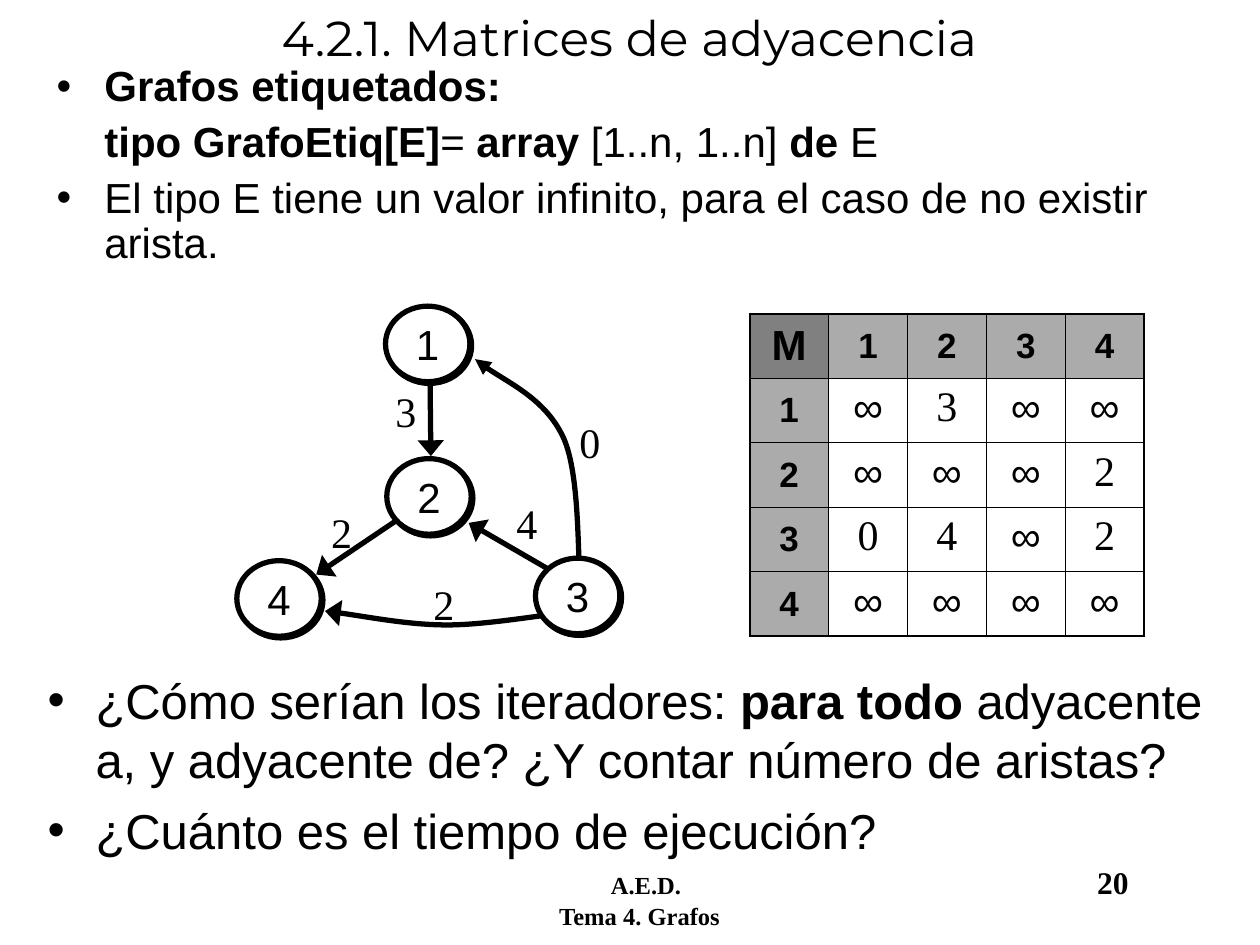
from lxml.etree import SubElement
from pptx import Presentation
from pptx.dml.color import RGBColor
from pptx.enum.shapes import MSO_CONNECTOR, MSO_SHAPE
from pptx.enum.text import MSO_ANCHOR, PP_ALIGN
from pptx.oxml import parse_xml
from pptx.oxml.ns import nsdecls, qn
from pptx.util import Emu, Inches, Pt

SERIF = "Times New Roman"
BLACK, WHITE, GREY, DARK = "000000", "FFFFFF", "ABABAB", "808080"

# Content: a paragraph is a list of (text, bold) runs
TITLE = [[("4.2.1. Matrices de adyacencia", False)]]
INTRO = [
    [("Grafos etiquetados:", True)],
    [("tipo GrafoEtiq[E]", True), ("=", False), (" array ", True),
     ("[1..n, 1..n]", False), (" de ", True), ("E", False)],
    [("El tipo E tiene un valor infinito, para el caso de no existir arista.", False)],
]
QUESTIONS = [
    [("¿Cómo serían los iteradores: ", False), ("para todo", True),
     (" adyacente a, y adyacente de? ¿Y contar número de aristas?", False)],
    [("¿Cuánto es el tiempo de ejecución?", False)],
]
MATRIX = ["M1234", "1∞3∞∞", "2∞∞∞2", "304∞2", "4∞∞∞∞"]

# Graph: node corners, straight edges, curved edges (head width, Bézier points), weights
NODES = {"1": (3.06, 2.43), "2": (3.07, 3.64), "3": (4.25, 4.43), "4": (1.88, 4.45)}
NODE_W, NODE_H = 0.67, 0.6
EDGES = [((4.65, 4.69), (3.72, 4.15)), ((3.46, 3.92), (2.51, 4.56)),
         ((3.41, 2.71), (3.42, 3.62))]
CURVES = [
    ("med", [(4.61, 4.66), (4.58, 4.47), (4.61, 3.77), (4.47, 3.47),
             (4.33, 3.17), (3.92, 2.98), (3.77, 2.85)]),
    ("lg", [(4.45, 4.87), (4.3, 4.88), (3.86, 4.96), (3.55, 4.96),
            (3.24, 4.96), (2.78, 4.87), (2.58, 4.85)]),
]
WEIGHTS = [("3", 3.04, 3.01), ("4", 4, 3.9), ("0", 4.5, 3.26),
           ("2", 2.53, 3.97), ("2", 3.34, 4.54)]


def rgb(color):
    return RGBColor.from_string(color)


def write(tf, paras, size=24, font="Arial", align=PP_ALIGN.LEFT,
          anchor=MSO_ANCHOR.TOP, wrap=True, before=0, spacing=None, bullets=()):
    tf.word_wrap, tf.vertical_anchor = wrap, anchor
    for i, runs in enumerate(paras):
        p = tf.paragraphs[0] if i == 0 else tf.add_paragraph()
        p.alignment, p.line_spacing = align, spacing
        if i:
            p.space_before = Pt(before)
        if bullets:
            pPr = p._p.get_or_add_pPr()
            pPr.set("marL", str(Inches(0.38)))
            if bullets[i]:
                pPr.set("indent", str(-Inches(0.38)))
                SubElement(pPr, qn("a:buFont"), typeface="Arial")
                SubElement(pPr, qn("a:buChar"), char="•")
        for text, bold in runs:
            r = p.add_run()
            r.text = text
            r.font.size, r.font.name, r.font.bold = Pt(size), font, bold
            r.font.color.rgb = rgb(BLACK)


def add_text(shapes, box, paras, **fmt):
    tb = shapes.add_textbox(*map(Inches, box))
    write(tb.text_frame, paras, **fmt)
    return tb.text_frame


def style_arrow(shape, head="lg"):
    shape.line.color.rgb, shape.line.width = rgb(BLACK), Pt(3)
    SubElement(shape.line._get_or_add_ln(), qn("a:tailEnd"),
               type="triangle", w=head, len="med")


def add_curve(shapes, head, points):
    start, *rest = [(Inches(x), Inches(y)) for x, y in points]
    fb = shapes.build_freeform(*start)
    fb.add_line_segments(rest, close=False)
    curve = fb.convert_to_shape()
    curve.fill.background()
    style_arrow(curve, head)
    curve.shadow.inherit = False
    # Every three points after the start form one cubic segment
    lines = list(curve._element.iter(qn("a:lnTo")))
    outline = lines[0].getparent()
    for i in range(0, len(lines), 3):
        cubic = SubElement(outline, qn("a:cubicBezTo"))
        for ln in lines[i:i + 3]:
            cubic.append(ln[0])
            outline.remove(ln)


def add_node(shapes, name, corner):
    sp = shapes.add_shape(MSO_SHAPE.OVAL, *map(Inches, (*corner, NODE_W, NODE_H)))
    sp.fill.solid()
    sp.fill.fore_color.rgb = rgb(WHITE)
    sp.line.color.rgb, sp.line.width = rgb(BLACK), Pt(3)
    sp.shadow.inherit = False
    effects = sp._element.spPr.find(qn("a:effectLst"))
    shadow = SubElement(effects, qn("a:outerShdw"), dist=str(Pt(1.4)),
                        dir="2700000", algn="tl", rotWithShape="0")
    SubElement(shadow, qn("a:srgbClr"), val=BLACK)
    write(sp.text_frame, [[(name, False)]], align=PP_ALIGN.CENTER,
          anchor=MSO_ANCHOR.MIDDLE, wrap=False)


def set_borders(cell, outer):
    tcPr = cell._tc.get_or_add_tcPr()
    for i, (side, is_outer) in enumerate(zip("LRTB", outer)):
        width = Pt(1.08 if is_outer else 0.45)
        tcPr.insert(i, parse_xml(
            f'<a:ln{side} {nsdecls("a")} w="{width}"><a:solidFill>'
            f'<a:srgbClr val="{BLACK}"/></a:solidFill></a:ln{side}>'))


def add_matrix(shapes):
    n = len(MATRIX)
    frame = shapes.add_table(n, n, *map(Inches, (5.95, 2.49, 3.13, 2.56)))
    table = frame.table
    table.first_row = table.horz_banding = False
    for column in table.columns:
        column.width = Emu(Inches(3.13) // n)
    for r, row in enumerate(MATRIX):
        table.rows[r].height = Emu(Inches(2.56) // n)
        for c, value in enumerate(row):
            cell = table.cell(r, c)
            header, corner = r == 0 or c == 0, r == c == 0
            if header:
                cell.fill.solid()
                cell.fill.fore_color.rgb = rgb(DARK if corner else GREY)
            else:
                cell.fill.background()
            set_borders(cell, (c == 0, c == n - 1, r == 0, r == n - 1))
            anchor = MSO_ANCHOR.MIDDLE if header else MSO_ANCHOR.TOP
            cell.vertical_anchor = anchor
            write(cell.text_frame, [[(value, header)]], align=PP_ALIGN.CENTER,
                  size=20 if header and not corner else 24, anchor=anchor,
                  font="Arial" if header or value == "∞" else SERIF)


def add_graph(shapes):
    for head, points in CURVES:
        add_curve(shapes, head, points)
    for start, end in EDGES:
        cx = shapes.add_connector(MSO_CONNECTOR.STRAIGHT, *map(Inches, start + end))
        style_arrow(cx)
        SubElement(cx._element.spPr, qn("a:effectLst"))
    for name, corner in NODES.items():
        add_node(shapes, name, corner)
    for weight, x, y in WEIGHTS:
        add_text(shapes, (x, y, 0.55, 0.5), [[(weight, False)]], font=SERIF)


def add_footer(shapes):
    tf = add_text(shapes, (3.62, 6.8, 5.8, 0.5),
                  [[("\tA.E.D.\t", True), ("20", True)], [("Tema 4. Grafos", True)]],
                  size=14, font=SERIF)
    first, second = tf.paragraphs
    first.runs[1].font.size = Pt(18)
    tabs = SubElement(first._p.get_or_add_pPr(), qn("a:tabLst"))
    for pos in (1.13, 4.99):
        SubElement(tabs, qn("a:tab"), pos=str(Inches(pos)), algn="l")
    second._p.get_or_add_pPr().set("marL", str(Inches(0.72)))


def main():
    prs = Presentation()
    prs.slide_width, prs.slide_height = Inches(10), Inches(7.5)
    s = prs.slides.add_slide(prs.slide_layouts[6])
    add_footer(s.shapes)
    add_text(s.shapes, (0.33, 0, 9.33, 0.58), TITLE, size=28, font="Montserrat",
             align=PP_ALIGN.CENTER, anchor=MSO_ANCHOR.MIDDLE)
    add_text(s.shapes, (0.35, 0.47, 9.39, 1.75), INTRO, before=6, spacing=0.9,
             bullets=(True, False, True))
    add_matrix(s.shapes)
    add_graph(s.shapes.add_group_shape().shapes)
    add_text(s.shapes, (0.28, 5.27, 9.48, 1.68), QUESTIONS, size=28, before=7,
             bullets=(True, True))
    prs.save("out.pptx")


if __name__ == "__main__":
    main()
